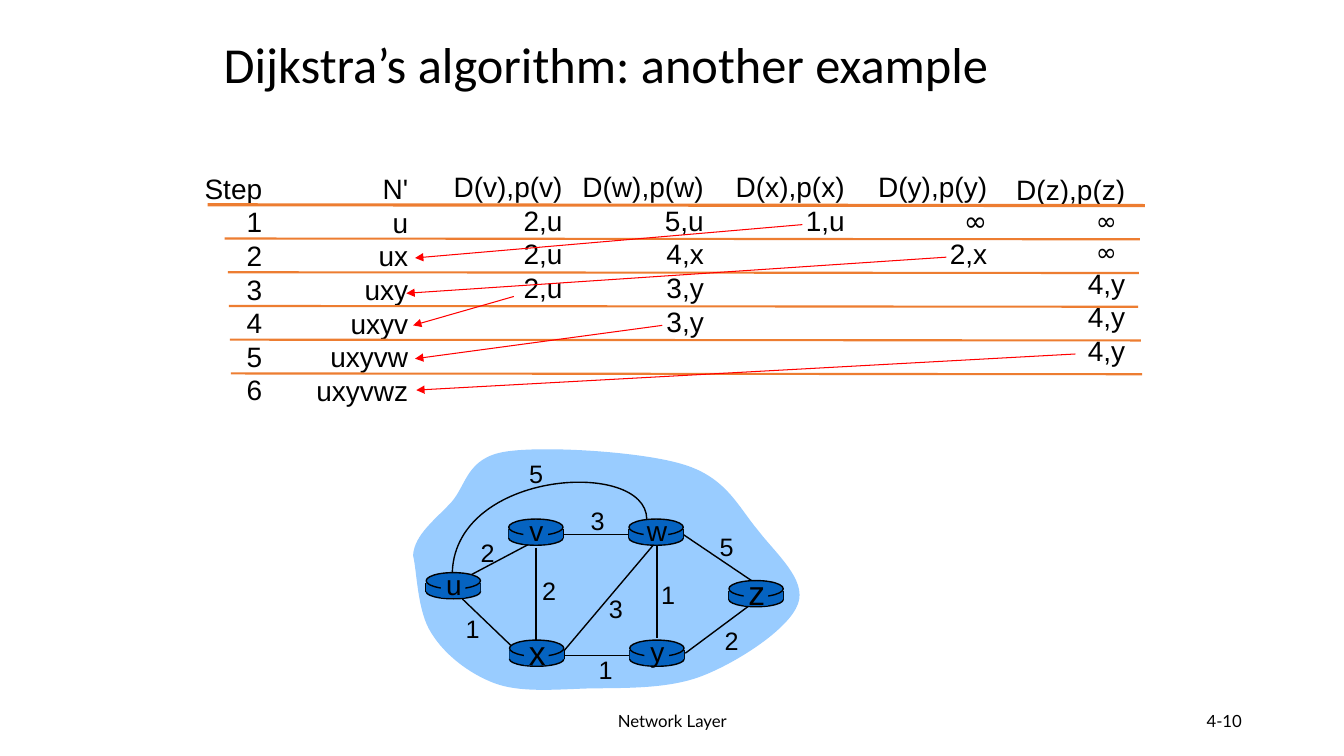
from lxml import etree
from pptx import Presentation
from pptx.dml.color import RGBColor
from pptx.enum.shapes import MSO_CONNECTOR, MSO_SHAPE
from pptx.enum.text import MSO_ANCHOR, PP_ALIGN
from pptx.oxml.ns import qn
from pptx.util import Cm, Pt

STRAIGHT = MSO_CONNECTOR.STRAIGHT
OVAL, RECTANGLE = MSO_SHAPE.OVAL, MSO_SHAPE.RECTANGLE
LEFT, CENTER, RIGHT = PP_ALIGN.LEFT, PP_ALIGN.CENTER, PP_ALIGN.RIGHT
TOP, MIDDLE = MSO_ANCHOR.TOP, MSO_ANCHOR.MIDDLE
TITLE_ONLY = 5

BLACK, ORANGE, RED = "000000", "ED7D31", "FF0000"
CLOUD_BLUE, ROUTER_BLUE = "99CCFF", "0563C1"

# Table columns: left, top, width, entries from the heading down
COLUMNS = [
    (0, 0.02, 1.96, ["Step", "1", "2", "3", "4", "5", "6"]),
    (2.82, 0.03, 2.82, ["N'", "u", "ux", "uxy", "uxyv", "uxyvw", "uxyvwz"]),
    (6.17, -0.02, 3.36, ["D(v),p(v)", "2,u", "2,u", "2,u"]),
    (9.33, -0.02, 3.76, ["D(w),p(w)", "5,u", "4,x", "3,y", "3,y"]),
    (13.29, -0.02, 3.35, ["D(x),p(x)", "1,u"]),
    (16.87, -0.02, 3.36, ["D(y),p(y)", "∞", "2,x"]),
    (20.35, 0.04, 3.36, ["D(z),p(z)", "∞ ", "∞ ", "4,y", "4,y", "4,y"]),
]
ROW_HEIGHT = 0.85
RULE_SLANT = 0.02
RULE_ENDS = [(0.33, 23.95), (0.76, 23.83), (0.84, 23.8),
             (0.87, 23.78), (0.89, 23.85), (0.92, 23.88)]
# Chosen distance to the node set it extends
ARROWS = [((15.32, 1.49), (5.56, 2.33)), ((18.95, 2.31), (5.34, 3.22)),
          ((8.05, 3.3), (5.51, 4.03)), ((11.79, 4.03), (5.56, 4.87)),
          ((22.2, 4.75), (5.59, 5.66))]

# Bezier outlines: a start, then two controls and an end for each curve
CLOUD = [
    (0, 2.77), (0.03, 2.24), (0.58, 1.85), (0.97, 1.42),
    (1.35, 0.99), (1.35, 0.3), (2.34, 0.15),
    (3.3, 0), (5.79, 0.15), (6.83, 0.48),
    (7.9, 0.81), (8.2, 1.55), (8.69, 2.13),
    (9.14, 2.72), (9.93, 3.38), (9.7, 3.99),
    (9.47, 4.62), (8.2, 5.44), (7.32, 5.79),
    (6.43, 6.15), (5.26, 6.1), (4.37, 6.12),
    (3.51, 6.15), (2.69, 6.22), (2.06, 5.99),
    (1.4, 5.74), (0.79, 5.26), (0.46, 4.72),
    (0.1, 4.17), (0.1, 3.15), (0, 2.77),
]
LONG_LINK = [(5.89, 1.85), (5.87, 0.33), (1.09, 0.61), (0.99, 3.18)]
LINKS = [
    ((1.47, 3.25), (3, 2.44)), ((3.1, 2.57), (3.1, 4.93)),
    ((2.46, 5.03), (1.24, 3.86)), ((3.81, 5.16), (6.05, 2.51)),
    ((3.84, 5.28), (5.46, 5.28)), ((6.15, 2.54), (6.15, 4.85)),
    ((6.86, 5.23), (8.46, 4.04)), ((6.81, 2.24), (8.53, 3.4)),
    ((3.81, 2.24), (5.44, 2.24)),
]
# Link weights: text and centre
WEIGHTS = [("2", 1.88, 2.69), ("2", 3.43, 3.66), ("1", 1.5, 4.6),
           ("3", 5.11, 4.09), ("1", 4.85, 5.64), ("1", 6.43, 3.76),
           ("2", 8.03, 4.9), ("5", 7.9, 2.54), ("3", 4.65, 1.88),
           ("5", 3.1, 0.71)]
# Routers: name, left, top, text size
ROUTERS = [("u", 0.33, 3.2, 20), ("x", 2.43, 4.9, 24), ("v", 2.41, 1.85, 20),
           ("w", 5.44, 1.85, 20), ("y", 5.46, 4.9, 20), ("z", 7.96, 3.4, 24)]


def color(hex_string):
    return RGBColor.from_string(hex_string)


def format_span(span, font, size):
    span.font.name, span.font.size = font, Pt(size)
    span.font.color.rgb = color(BLACK)


def add_text(shapes, box, text, size, font="Arial", align=CENTER,
             anchor=MIDDLE, wrap=False):
    frame = shapes.add_textbox(*map(Cm, box)).text_frame
    frame.word_wrap, frame.vertical_anchor = wrap, anchor
    frame.text = text
    for para in frame.paragraphs:
        para.alignment = align
        for span in para.runs:
            format_span(span, font, size)
    return frame


def add_line(shapes, start, end, hex_string, width, arrow=False):
    connector = shapes.add_connector(STRAIGHT, *map(Cm, (*start, *end)))
    connector.line.color.rgb, connector.line.width = color(hex_string), Pt(width)
    properties = connector._element.spPr
    if arrow:
        etree.SubElement(properties.find(qn("a:ln")), qn("a:tailEnd"), type="triangle")
    etree.SubElement(properties, qn("a:effectLst"))


def paint(shape, fill=None, outlined=False):
    shape.shadow.inherit = False
    if fill:
        shape.fill.solid()
        shape.fill.fore_color.rgb = color(fill)
    else:
        shape.fill.background()
    if outlined:
        shape.line.color.rgb, shape.line.width = color(BLACK), Pt(1)
    else:
        shape.line.fill.background()


def add_curve(shapes, controls, close):
    points = [(Cm(x), Cm(y)) for x, y in controls]
    builder = shapes.build_freeform(*points[0])
    builder.add_line_segments(points[1:], close=close)
    shape = builder.convert_to_shape()
    # Join every three segments into one Bezier curve
    segments = list(shape._element.iter(qn("a:lnTo")))
    for first in range(0, len(controls) - 1, 3):
        curve = etree.Element(qn("a:cubicBezTo"))
        segments[first].addprevious(curve)
        for segment in segments[first:first + 3]:
            curve.append(segment[0])
            segment.getparent().remove(segment)
    return shape


def shift(points, left, top):
    return [(left + x, top + y) for x, y in points]


def add_title(page, box):
    title = page.shapes.title
    title.left, title.top, title.width, title.height = map(Cm, box)
    frame = title.text_frame
    frame.text = "Dijkstra’s algorithm: another example"
    frame.vertical_anchor, frame.word_wrap = MIDDLE, True
    para = frame.paragraphs[0]
    para.alignment, para.line_spacing = LEFT, 0.9
    format_span(para.runs[0], "Calibri", 36)


def add_steps(page, left, top):
    # Columns of entries
    for x, y, width, entries in COLUMNS:
        box = (left + x, top + y, width, 0.25 + ROW_HEIGHT * len(entries))
        frame = add_text(page.shapes, box, "\n".join(entries), 20, align=RIGHT, anchor=TOP)
        for para in frame.paragraphs:
            if "∞" in para.text:
                format_span(para.runs[0], "Comic Neue", 18 if para.text == "∞ " else 20)
    # Rules under the rows
    for row, (start, end) in enumerate(RULE_ENDS):
        y = 0.99 + ROW_HEIGHT * row
        ends = shift([(start, y), (end, y + RULE_SLANT)], left, top)
        add_line(page.shapes, *ends, ORANGE, 1.5 if row else 2.25)
    # Arrows to the next node set
    for ends in ARROWS:
        add_line(page.shapes, *shift(ends, left, top), RED, 0.75, arrow=True)


def add_router(shapes, left, top, name, size):
    def part(kind, x, y, width, height, outlined=False):
        shape = shapes.add_shape(kind, *map(Cm, (left + x, top + y, width, height)))
        paint(shape, ROUTER_BLUE, outlined)

    part(OVAL, 0, 0.3, 1.37, 0.36, outlined=True)
    for side in (left, left + 1.37):
        add_line(shapes, (side, top + 0.25), (side, top + 0.48), BLACK, 1)
    part(RECTANGLE, 0, 0.25, 1.37, 0.23)
    part(OVAL, 0, 0, 1.37, 0.41, outlined=True)
    part(RECTANGLE, 0.37, 0.05, 0.62, 0.58)
    add_text(shapes, (left + 0.2, top - 0.26, 1, 1.1), name, size)


def add_network(page, left, top):
    shapes = page.shapes.add_group_shape().shapes
    paint(add_curve(shapes, shift(CLOUD, left, top), close=True), CLOUD_BLUE)
    # Links
    paint(add_curve(shapes, shift(LONG_LINK, left, top), close=False), outlined=True)
    for ends in LINKS:
        add_line(shapes, *shift(ends, left, top), BLACK, 1)
    # Routers and link weights
    for name, x, y, size in ROUTERS:
        add_router(shapes, left + x, top + y, name, size)
    for weight, x, y in WEIGHTS:
        add_text(shapes, (left + x - 0.43, top + y - 0.5, 0.86, 1), weight, 18)


def add_footer(page, top):
    for text, left, width, align in (("Network Layer", 11.23, 11.43, CENTER),
                                     ("4-10", 23.93, 7.62, RIGHT)):
        add_text(page.shapes, (left, top, width, 1.02), text, 12, "Lato", align, wrap=True)


def main():
    deck = Presentation()
    deck.slide_width, deck.slide_height = Cm(33.87), Cm(19.05)
    page = deck.slides.add_slide(deck.slide_layouts[TITLE_ONLY])
    add_footer(page, 17.65)
    add_title(page, (5.38, 0.36, 23.24, 2.67))
    add_steps(page, 4.9, 4.17)
    add_network(page, 10.41, 11.23)
    deck.save("out.pptx")


if __name__ == "__main__":
    main()
